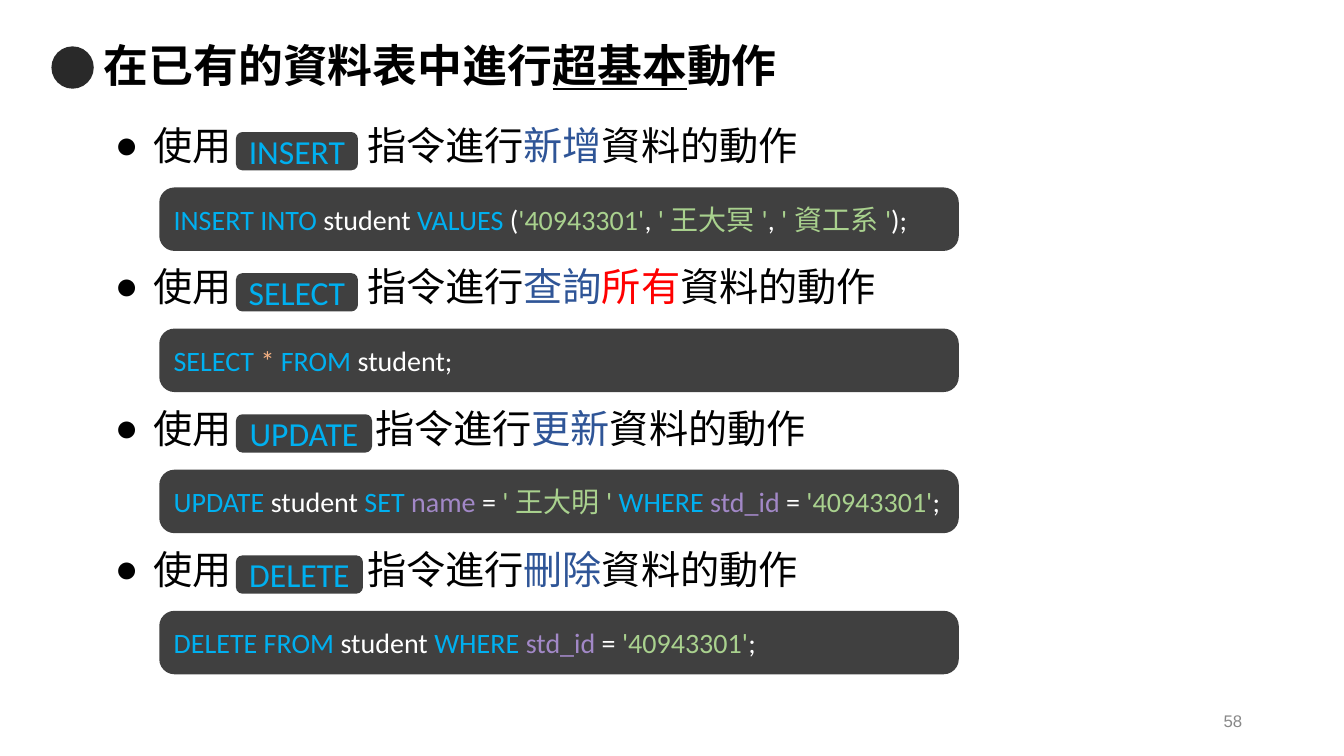
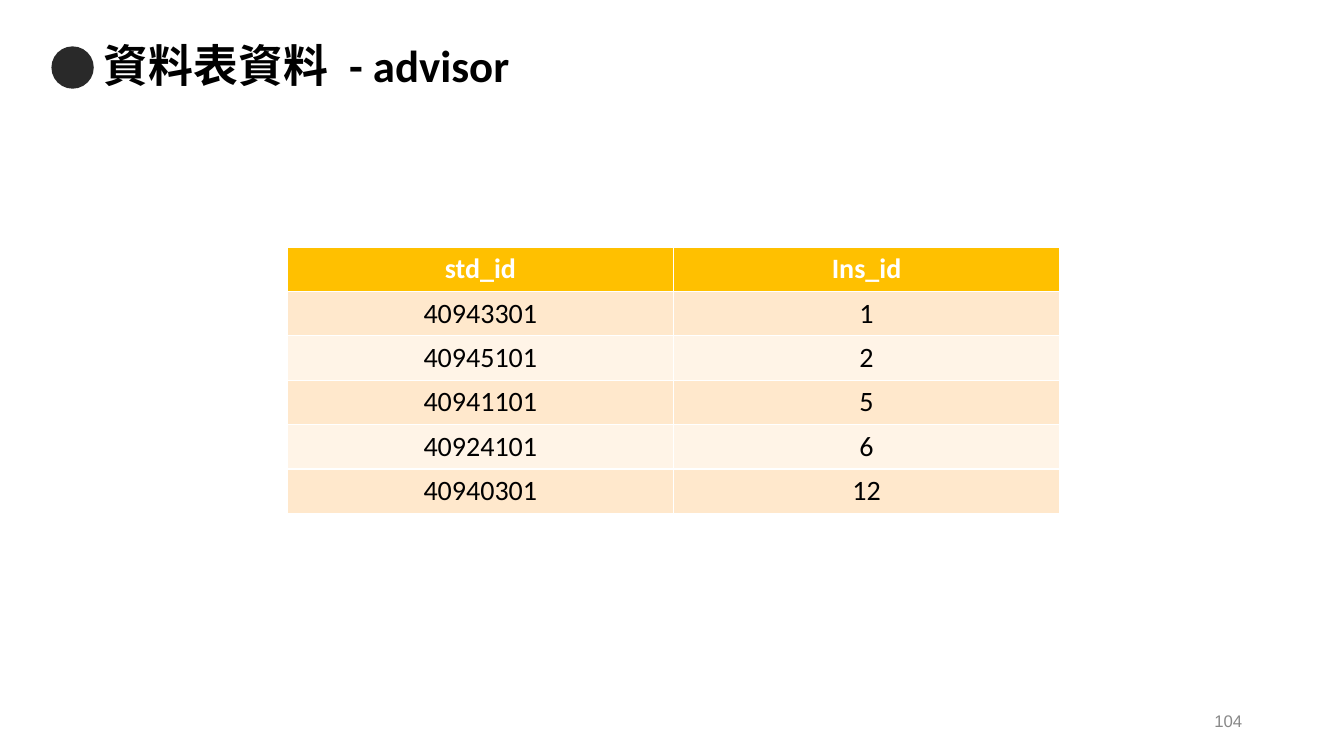
from lxml import etree
from pptx import Presentation
from pptx.dml.color import RGBColor
from pptx.enum.shapes import MSO_SHAPE
from pptx.enum.text import MSO_ANCHOR, MSO_AUTO_SIZE, PP_ALIGN
from pptx.oxml.ns import qn
from pptx.util import Pt

OVAL, ROUNDED = MSO_SHAPE.OVAL, MSO_SHAPE.ROUNDED_RECTANGLE
MIDDLE, TOP, NO_FIT = MSO_ANCHOR.MIDDLE, MSO_ANCHOR.TOP, MSO_AUTO_SIZE.NONE
LEFT, CENTER, RIGHT = PP_ALIGN.LEFT, PP_ALIGN.CENTER, PP_ALIGN.RIGHT

EMU_PER_PX = 9144
TITLE_ONLY, TITLE_AND_BODY = 5, 1
COLORS = {
    "text": "000000", "white": "FFFFFF", "dot": "292929", "page": "888888",
    "action": "2F5597", "alert": "FF0000", "panel": "404040",
    "keyword": "00B0F0", "string": "A9D18E", "star": "F4B183",
    "column": "A288C7", "head": "FFC000", "odd": "FFE8CC", "even": "FFF4E7",
}
STEP = 140
COMMANDS = [
    ("INSERT", 121, 262, [("新增", "action")],
     [("INSERT INTO ", "keyword"), ("student", "white"),
      (" VALUES ", "keyword"), ("(", "white"), ("'40943301'", "string"),
      (", ", "white"), ("'王大冥'", "string"), (", ", "white"),
      ("'資工系'", "string"), (");", "white")]),
    ("SELECT", 121, 262, [("查詢", "action"), ("所有", "alert")],
     [("SELECT ", "keyword"), ("*", "star"), (" FROM ", "keyword"),
      ("student;", "white")]),
    ("UPDATE", 135, 270, [("更新", "action")],
     [("UPDATE ", "keyword"), ("student", "white"), (" SET ", "keyword"),
      ("name", "column"), (" = ", "white"), ("'王大明' ", "string"),
      ("WHERE ", "keyword"), ("std_id ", "column"), ("= ", "white"),
      ("'40943301'", "string"), (";", "white")]),
    ("DELETE", 126, 262, [("刪除", "action")],
     [("DELETE FROM ", "keyword"), ("student", "white"),
      (" WHERE ", "keyword"), ("std_id ", "column"), ("= ", "white"),
      ("'40943301'", "string"), (";", "white")]),
]
ADVISORS = [("std_id", "Ins_id"), ("40943301", "1"), ("40945101", "2"),
            ("40941101", "5"), ("40924101", "6"), ("40940301", "12")]


def px(*lengths):
    return [length * EMU_PER_PX for length in lengths]


def rgb(color):
    return RGBColor.from_string(COLORS[color])


def write(paragraph, text, size=28, color="text", bold=False,
          underline=False, font="Calibri"):
    run = paragraph.add_run()
    run.text = text
    run.font.name, run.font.size = font, Pt(size)
    run.font.bold, run.font.underline = bold, underline
    run.font.color.rgb = rgb(color)


def add_bullet_and_tab(paragraph, tab):
    properties = paragraph._p.get_or_add_pPr()
    indent, hanging, stop = px(50, -38, tab)
    properties.set("marL", str(indent))
    properties.set("indent", str(hanging))
    bullet_color = etree.SubElement(properties, qn("a:buClr"))
    etree.SubElement(bullet_color, qn("a:srgbClr"), val=COLORS["text"])
    etree.SubElement(properties, qn("a:buChar"), char="●")
    tabs = etree.SubElement(properties, qn("a:tabLst"))
    etree.SubElement(tabs, qn("a:tab"), pos=str(stop), algn="l")


class Deck:
    """Holds the shared style and the slide being built."""

    def __init__(self):
        self.presentation = Presentation()
        self.presentation.slide_width, self.presentation.slide_height = px(1333, 750)
        self.slide = None

    def start_slide(self, layout, title, page):
        layouts = self.presentation.slide_layouts
        self.slide = self.presentation.slides.add_slide(layouts[layout])
        self.panel(OVAL, (51, 46, 42, 42), "dot")
        heading = self.place(self.slide.shapes.title, (93, 35, 1149, 64), MIDDLE)
        heading.alignment, heading.line_spacing = LEFT, 0.9
        for text, underline in title:
            write(heading, text, size=32, bold=True, underline=underline)
        page_box = self.slide.shapes.add_textbox(*px(942, 695, 300, 40))
        number = self.place(page_box, (942, 695, 300, 40), MIDDLE)
        number.alignment = RIGHT
        write(number, page, size=12, color="page", font="Arial")

    def place(self, holder, box, anchor):
        holder.left, holder.top, holder.width, holder.height = px(*box)
        frame = holder.text_frame
        frame.word_wrap, frame.auto_size = True, NO_FIT
        frame.vertical_anchor = anchor
        return frame.paragraphs[0]

    def panel(self, preset, box, fill):
        panel = self.slide.shapes.add_shape(preset, *px(*box))
        panel.shadow.inherit = False
        panel.fill.solid()
        panel.fill.fore_color.rgb = rgb(fill)
        panel.line.fill.background()
        return panel

    def code(self, box, rounding, runs, size, alignment):
        panel = self.panel(ROUNDED, box, "panel")
        panel.adjustments[0] = rounding
        line = self.place(panel, box, MIDDLE)
        line.alignment = alignment
        for text, color in runs:
            write(line, text, size=size, color=color)

    def bullets(self, box, items):
        body = self.slide.placeholders[1]
        item = self.place(body, box, TOP)
        for index, (tab, runs) in enumerate(items):
            if index:
                item = body.text_frame.add_paragraph()
            add_bullet_and_tab(item, tab)
            item.line_spacing = Pt(36)
            item.space_before = Pt(65 if index else 0)
            for text, color in runs:
                write(item, text, color=color)

    def table(self, box, rows):
        grid = self.slide.shapes.add_table(len(rows), len(rows[0]), *px(*box)).table
        for row, values in enumerate(rows):
            fill = "head" if row == 0 else "odd" if row % 2 else "even"
            for column, value in enumerate(values):
                cell = grid.cell(row, column)
                cell.fill.solid()
                cell.fill.fore_color.rgb = rgb(fill)
                entry = cell.text_frame.paragraphs[0]
                entry.alignment = CENTER
                write(entry, value, size=20, bold=row == 0,
                      color="text" if row else "white")


def main():
    deck = Deck()
    deck.start_slide(TITLE_AND_BODY, [("在已有的資料表中進行", False),
                                      ("超基本", True), ("動作", False)], "58")
    deck.bullets((92, 112, 1150, 563), [
        (tab, [("使用\t指令進行", "text"), *action, ("資料的動作", "text")])
        for _, _, tab, action, _ in COMMANDS])
    for index, (name, width, _, _, statement) in enumerate(COMMANDS):
        offset = index * STEP
        deck.code((234, 131 + offset, width, 38), 0.17,
                  [(name, "keyword")], 24, CENTER)
        deck.code((158, 186 + offset, 793, 63), 0.24, statement, 20, LEFT)

    deck.start_slide(TITLE_ONLY, [("資料表資料 - advisor", False)], "104")
    deck.table((285, 245, 766, 264), ADVISORS)
    deck.presentation.save("out.pptx")


if __name__ == "__main__":
    main()
